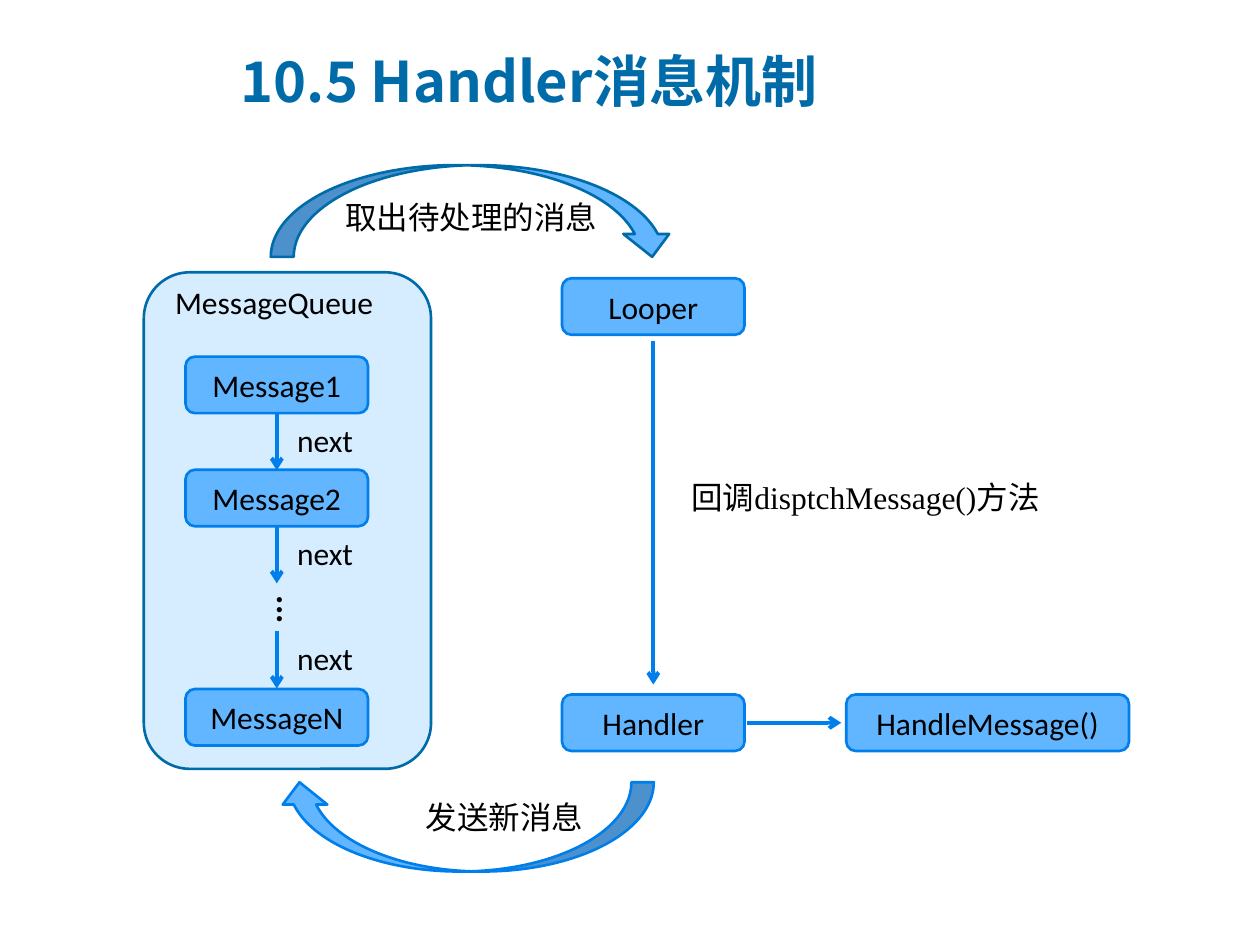
from lxml import etree
from pptx import Presentation
from pptx.dml.color import RGBColor
from pptx.enum.shapes import MSO_CONNECTOR, MSO_SHAPE
from pptx.enum.text import MSO_ANCHOR, PP_ALIGN
from pptx.oxml.ns import qn
from pptx.util import Cm, Pt

ROUND_BOX = MSO_SHAPE.ROUNDED_RECTANGLE
CURVED_ARROW = MSO_SHAPE.CURVED_UP_ARROW
STRAIGHT = MSO_CONNECTOR.STRAIGHT
MIDDLE, TOP = MSO_ANCHOR.MIDDLE, MSO_ANCHOR.TOP
LEFT, CENTER = PP_ALIGN.LEFT, PP_ALIGN.CENTER

COLORS = {
    "title": "006BA9",
    "queue": "D6ECFF",
    "node": "61B6FF",
    "edge": "007EEB",
    "text": "000000",
}
LATIN, CJK, SERIF = "Calibri", "Noto Sans CJK SC", "Times New Roman"
BODY = {"size": Pt(18), "name": LATIN, "bold": False}
DOTS = {"size": Pt(20), "name": LATIN, "bold": True}
TITLE = {"size": Pt(32), "name": CJK, "bold": True}
NODE_W, NODE_H = 3.68, 1.14


def color(key):
    return RGBColor.from_string(COLORS[key])


def apply(target, values):
    for name, value in values.items():
        setattr(target, name, value)


def add_run(paragraph, text, font, color_key="text"):
    run = paragraph.add_run()
    run.text = text
    apply(run.font, font)
    run.font.color.rgb = color(color_key)
    east_asian = etree.SubElement(run.font._element, qn("a:ea"))
    east_asian.set("typeface", CJK)


def add_label(slide, box, parts, font=BODY, wrap=False):
    label = slide.shapes.add_textbox(*map(Cm, box))
    label.text_frame.word_wrap = wrap
    for text, name in parts:
        add_run(label.text_frame.paragraphs[0], text, {**font, "name": name})
    return label


def add_filled(slide, kind, box, fill, line):
    shape = slide.shapes.add_shape(kind, *map(Cm, box))
    shape.shadow.inherit = False
    shape.fill.solid()
    shape.fill.fore_color.rgb = color(fill)
    shape.line.color.rgb = color(line)
    shape.line.width = Pt(1.5)
    return shape


def add_node(slide, left, top, text, width=NODE_W):
    node = add_filled(slide, ROUND_BOX, (left, top, width, NODE_H), "node", "edge")
    apply(node.text_frame, {"vertical_anchor": MIDDLE, "word_wrap": True})
    paragraph = node.text_frame.paragraphs[0]
    paragraph.alignment = CENTER
    add_run(paragraph, text, BODY)


def add_arrow(slide, x1, y1, x2, y2):
    arrow = slide.shapes.add_connector(STRAIGHT, *map(Cm, (x1, y1, x2, y2)))
    arrow.line.color.rgb = color("edge")
    arrow.line.width = Pt(2.25)
    etree.SubElement(arrow.line._get_or_add_ln(), qn("a:tailEnd")).set("type", "arrow")
    etree.SubElement(arrow._element.spPr, qn("a:effectLst"))


def add_curve(slide, box, flip, line, label_box, text):
    curve = add_filled(slide, CURVED_ARROW, box, "node", line)
    curve._element.spPr.get_or_add_xfrm().set(flip, "1")
    left, top = box[:2]
    dx, dy, width, height = label_box
    add_label(slide, (left + dx, top + dy, width, height), [(text, LATIN)])


def add_title(slide, left, top, width, height):
    title = slide.shapes.title
    box = {"left": left, "top": top, "width": width, "height": height}
    apply(title, {side: Cm(value) for side, value in box.items()})
    apply(title.text_frame, {"vertical_anchor": MIDDLE, "word_wrap": True})
    paragraph = title.text_frame.paragraphs[0]
    paragraph.alignment = LEFT
    add_run(paragraph, "10.5 Handler消息机制", TITLE, "title")


def add_queue(slide, left, top, width, height):
    queue = add_filled(slide, ROUND_BOX, (left, top, width, height), "queue", "title")
    queue.adjustments[0] = 0.16
    add_label(slide, (left + 0.38, top + 0.1, 5.03, 1.02), [("MessageQueue", LATIN)])
    for text, offset in (("Message1", 1.7), ("Message2", 3.98), ("MessageN", 8.4)):
        add_node(slide, left + 0.84, top + offset, text)
    link_x = left + 0.84 + NODE_W / 2
    for offset in (2.84, 5.12, 7.24):
        start = top + offset
        add_arrow(slide, link_x, start, link_x, start + 1.15)
        add_label(slide, (link_x + 0.16, start + 0.03, 1.73, 1.02), [("next", LATIN)])
    dots = add_label(slide, (left + 2.15, top + 6.27, 1.37, 0.84), [("...", LATIN)], DOTS)
    dots.text_frame._txBody.bodyPr.set("vert", "eaVert")


def add_dispatch(slide, left, top, width, height):
    handler_top = top + height - NODE_H
    center_x = left + NODE_W / 2
    handler_y = handler_top + NODE_H / 2
    result_w = 5.7
    result_left = left + width - result_w
    add_node(slide, left, top, "Looper")
    add_node(slide, left, handler_top, "Handler")
    add_node(slide, result_left, handler_top, "HandleMessage()", result_w)
    add_arrow(slide, center_x, top + NODE_H + 0.13, center_x, handler_top - 0.2)
    add_arrow(slide, left + NODE_W + 0.05, handler_y, result_left - 0.1, handler_y)
    callback = [("回", LATIN), ("调disptchMessage()", SERIF), ("方法", LATIN)]
    add_label(slide, (left + 2.36, top + 3.91, 7.59, 1.02), callback, wrap=True)


def main():
    deck = Presentation()
    deck.slide_width, deck.slide_height = Cm(25.4), Cm(19.05)
    slide = deck.slides.add_slide(deck.slide_layouts[5])
    add_title(slide, 4.6, 0.56, 20.8, 2.13)
    add_queue(slide, 2.9, 5.49, 5.79, 10.01)
    add_dispatch(slide, 11.33, 5.61, 11.43, 9.53)
    add_curve(slide, (5.46, 3.33, 8.15, 1.85), "flipV", "title",
              (1.25, 0.53, 5.64, 1.02), "取出待处理的消息")
    add_curve(slide, (5.59, 15.77, 7.59, 1.8), "flipH", "edge",
              (2.74, 0.2, 3.71, 1.02), "发送新消息")
    deck.save("out.pptx")


if __name__ == "__main__":
    main()
